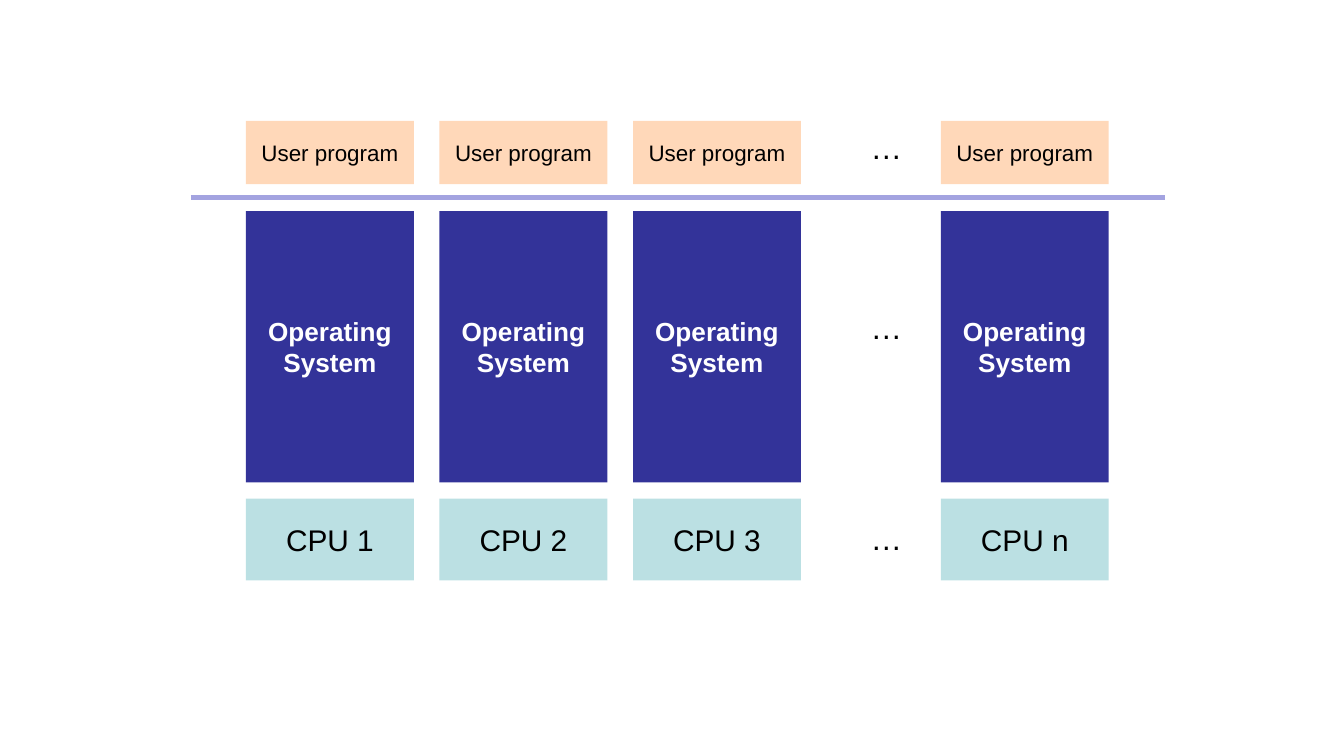
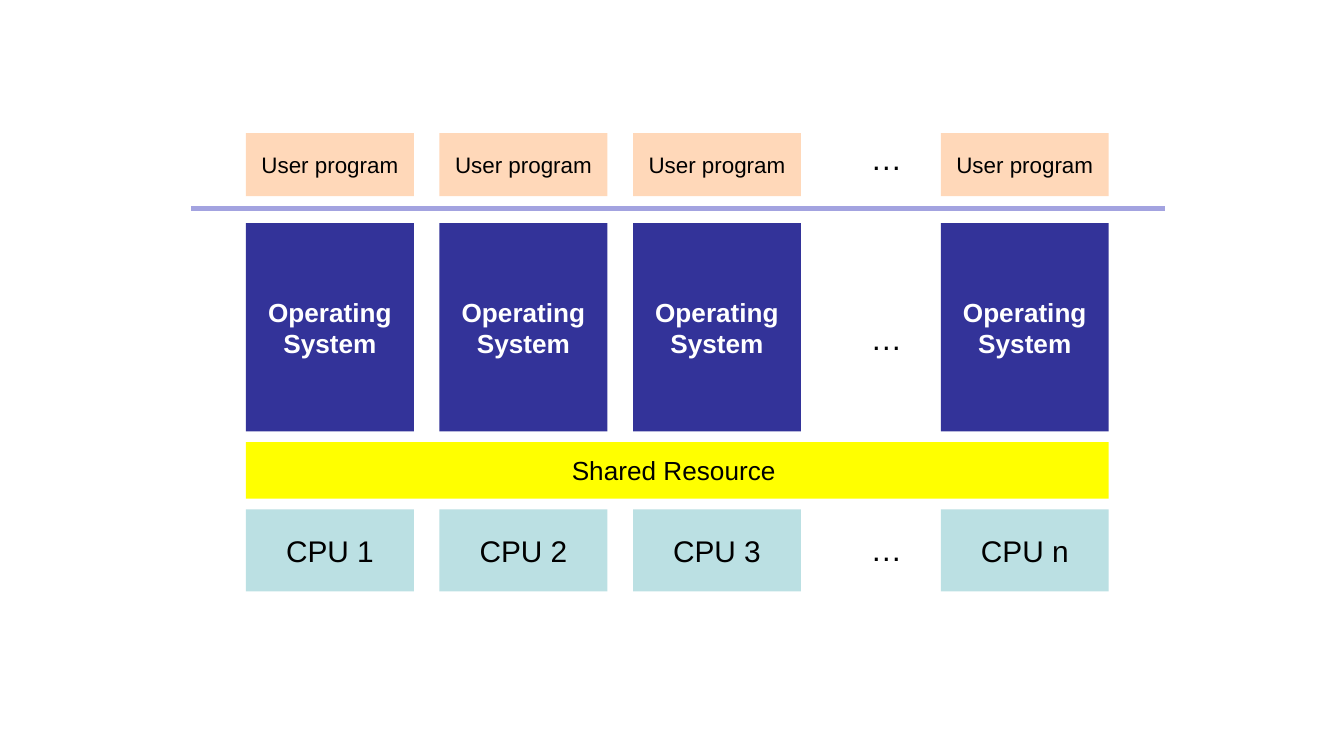
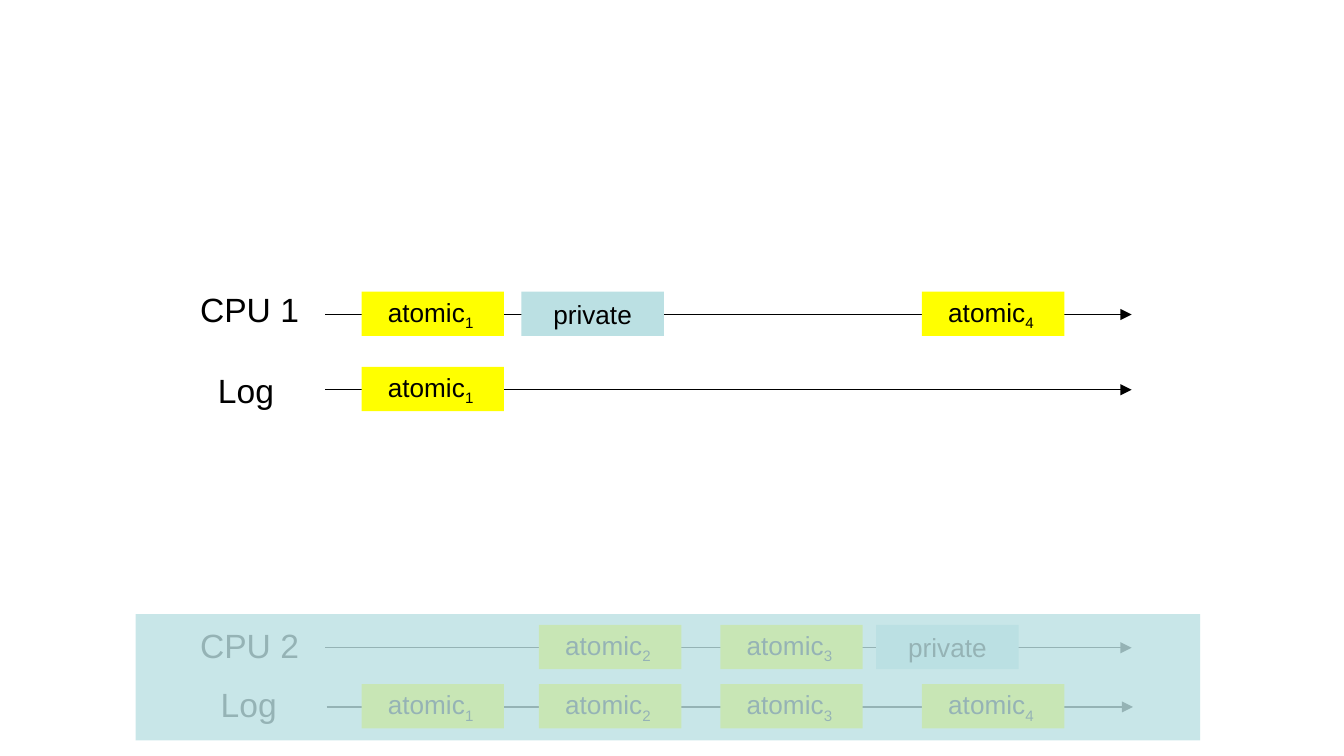
import dataclasses

import lxml.etree
import pptx
import pptx.dml.color
import pptx.enum.shapes
import pptx.enum.text
import pptx.oxml.ns
import pptx.util

EMU_PER_PX = 9144  # 100 px to the inch


@dataclasses.dataclass(frozen=True)
class Theme:
    font: str = "Arial"
    black: str = "000000"
    white: str = "FFFFFF"
    peach: str = "FFD8B9"
    navy: str = "333399"
    aqua: str = "BBE0E3"
    yellow: str = "FFFF00"
    lavender: str = "A3A3E0"
    program_size: float = 12
    block_size: float = 14
    cpu_size: float = 16
    dots_size: float = 16.9
    label_size: float = 18


theme = Theme()
LEFT = pptx.enum.text.PP_ALIGN.LEFT
CENTER = pptx.enum.text.PP_ALIGN.CENTER


def add_box(slide, area, text, size, fill=None, color=theme.black, bold=False,
            subscript="", alignment=CENTER):
    """Add a filled rectangle, or a plain text box when there is no fill."""
    area = [length * EMU_PER_PX for length in area]
    if fill:
        shape = slide.shapes.add_shape(pptx.enum.shapes.MSO_SHAPE.RECTANGLE, *area)
        shape.shadow.inherit = False
        shape.fill.solid()
        shape.fill.fore_color.rgb = pptx.dml.color.RGBColor.from_string(fill)
        shape.line.fill.background()
    else:
        shape = slide.shapes.add_textbox(*area)
        shape.text_frame.auto_size = pptx.enum.text.MSO_AUTO_SIZE.SHAPE_TO_FIT_TEXT
    shape.text_frame.word_wrap = True
    shape.text_frame.vertical_anchor = pptx.enum.text.MSO_ANCHOR.MIDDLE
    paragraph = shape.text_frame.paragraphs[0]
    paragraph.alignment = alignment
    for content, baseline in ((text, None), (subscript, "-25000")):
        if not content:
            continue
        run = paragraph.add_run()
        run.text = content
        run.font.name = theme.font
        run.font.size = pptx.util.Pt(size)
        run.font.bold = bold
        run.font.color.rgb = pptx.dml.color.RGBColor.from_string(color)
        if baseline:
            run.font._element.set("baseline", baseline)
    return shape


def add_line(slide, left, right, y, color, width, arrow=False):
    line = slide.shapes.add_connector(
        pptx.enum.shapes.MSO_CONNECTOR.STRAIGHT,
        *(length * EMU_PER_PX for length in (left, y, right, y)))
    line.line.color.rgb = pptx.dml.color.RGBColor.from_string(color)
    line.line.width = pptx.util.Pt(width)
    if arrow:
        lxml.etree.SubElement(line.line._get_or_add_ln(),
                              pptx.oxml.ns.qn("a:tailEnd"), type="triangle")
    lxml.etree.SubElement(line._element.spPr, pptx.oxml.ns.qn("a:effectLst"))


presentation = pptx.Presentation()
presentation.slide_width = 1000 * EMU_PER_PX
presentation.slide_height = presentation.slide_width * 9 // 16
blank_layout = presentation.slide_layouts[6]

# Slides 1 and 2: one operating system per CPU, without and with a shared resource
column_width = 125
columns = {"1": 183, "2": 327, "3": 471, "n": 700}
stacks = [
    # rule, program top, system top, system height, CPU top, tops of the dots, shared top
    (147, 90, 157, 202, 371, (90, 224, 381), None),
    (155, 99, 166, 155, 379, (98, 232, 389), 329),
]
for rule_y, program_top, system_top, system_height, cpu_top, dots_tops, shared_top in stacks:
    slide = presentation.slides.add_slide(blank_layout)
    add_line(slide, 142, 867, rule_y, theme.lavender, 2.5)
    for number, left in columns.items():
        add_box(slide, (left, program_top, column_width, 47), "User program",
                theme.program_size, theme.peach)
        add_box(slide, (left, system_top, column_width, system_height), "Operating System",
                theme.block_size, theme.navy, theme.white, bold=True)
        add_box(slide, (left, cpu_top, column_width, 61), f"CPU {number}",
                theme.cpu_size, theme.aqua)
    for top in dots_tops:
        add_box(slide, (638, top, 21, 39), "…", theme.dots_size)
    if shared_top:
        full_width = columns["n"] + column_width - columns["1"]
        add_box(slide, (columns["1"], shared_top, full_width, 42), "Shared Resource ",
                theme.block_size, theme.yellow)

# Slide 3: timelines of two CPUs and their logs
slide = presentation.slides.add_slide(blank_layout)
atomic_lefts = {"1": 269, "2": 401, "3": 536, "4": 686}
timelines = [
    # label, label area, alignment, line left, line y, atomic steps, left of the private step
    ("CPU 1", (139, 210, 95, 40), LEFT, 242, 234, "14", 388),
    ("Log", (152, 270, 62, 40), CENTER, 242, 290, "1", None),
    ("CPU 2", (139, 460, 95, 40), LEFT, 242, 482, "23", 652),
    ("Log", (154, 504, 62, 40), CENTER, 243, 526, "1234", None),
]
for label, label_area, alignment, line_left, y, atomic_steps, private_left in timelines:
    label_box = add_box(slide, label_area, label, theme.label_size, alignment=alignment)
    label_box.text_frame.word_wrap = False
    label_box.text_frame.vertical_anchor = pptx.enum.text.MSO_ANCHOR.TOP
    add_line(slide, line_left, line_left + 600, y, theme.black, 0.75, arrow=True)
    for step in atomic_steps:
        add_box(slide, (atomic_lefts[step], y - 17, 106, 33), "atomic",
                theme.block_size, theme.yellow, subscript=f"{step} ")
    if private_left:
        add_box(slide, (private_left, y - 17, 106, 33), "private",
                theme.block_size, theme.aqua)

veil = add_box(slide, (101, 457, 792, 94), "", theme.block_size, theme.aqua)
veil_color = veil._element.spPr.find(".//" + pptx.oxml.ns.qn("a:srgbClr"))
lxml.etree.SubElement(veil_color, pptx.oxml.ns.qn("a:alpha"), val="80000")

presentation.save("out.pptx")
